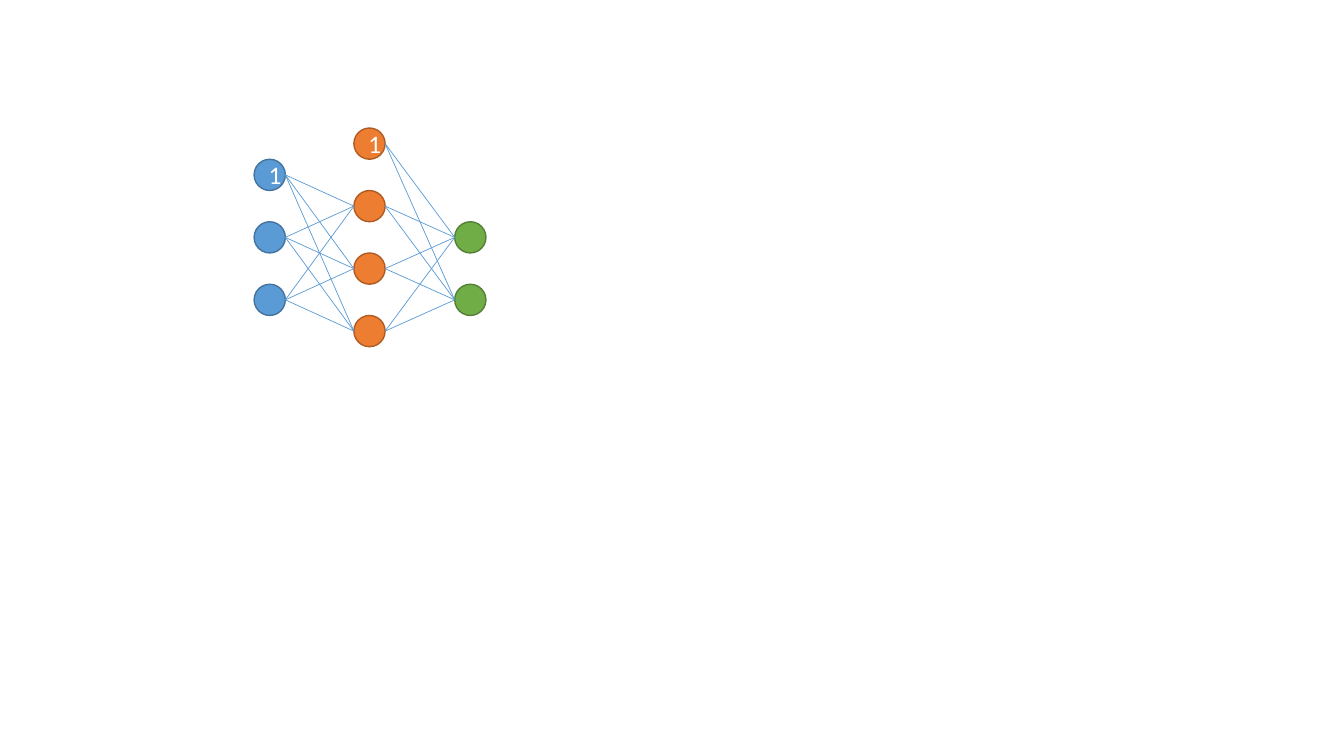
"""Build a slide with a small three-layer neural network diagram."""
from itertools import pairwise, product

from lxml.etree import SubElement
from pptx import Presentation
from pptx.dml.color import RGBColor
from pptx.enum.shapes import MSO_CONNECTOR, MSO_SHAPE
from pptx.enum.text import MSO_ANCHOR, PP_ALIGN
from pptx.oxml.ns import qn
from pptx.util import Inches, Pt

WHITE = RGBColor(0xFF, 0xFF, 0xFF)
BLUE = RGBColor(0x5B, 0x9B, 0xD5)
DARK_BLUE = RGBColor(0x43, 0x73, 0x9E)
ORANGE = RGBColor(0xED, 0x7D, 0x31)
DARK_ORANGE = RGBColor(0xAF, 0x5C, 0x24)
GREEN = RGBColor(0x70, 0xAD, 0x47)
DARK_GREEN = RGBColor(0x53, 0x80, 0x35)

DIAMETER = Inches(0.31)
NODE_PITCH = Inches(0.62)

# left, top of first node, node count, has bias node, fill, outline
LAYERS = [
    (2.52, 1.58, 3, True, BLUE, DARK_BLUE),
    (3.51, 1.27, 4, True, ORANGE, DARK_ORANGE),
    (4.51, 2.2, 2, False, GREEN, DARK_GREEN),
]

deck = Presentation()
deck.slide_width = Inches(13.33)
deck.slide_height = Inches(7.5)
slide = deck.slides.add_slide(deck.slide_layouts[6])

network = []
for left, top, count, has_bias, fill, outline in LAYERS:
    nodes = []
    for row in range(count):
        node = slide.shapes.add_shape(
            MSO_SHAPE.OVAL, Inches(left), Inches(top) + row * NODE_PITCH, DIAMETER, DIAMETER)
        node.shadow.inherit = False
        node.fill.solid()
        node.fill.fore_color.rgb = fill
        node.line.color.rgb = outline
        node.line.width = Pt(1)
        nodes.append(node)
    if has_bias:
        frame = nodes[0].text_frame
        frame.text = "1"
        frame.vertical_anchor = MSO_ANCHOR.MIDDLE
        para = frame.paragraphs[0]
        para.alignment = PP_ALIGN.CENTER
        font = para.runs[0].font
        font.name = "Calibri"
        font.size = Pt(18)
        font.color.rgb = WHITE
    network.append((nodes, has_bias))

for (sources, _), (targets, has_bias) in pairwise(network):
    receivers = targets[1:] if has_bias else targets
    for source, target in product(sources, receivers):
        link = slide.shapes.add_connector(
            MSO_CONNECTOR.STRAIGHT,
            source.left + DIAMETER, source.top + DIAMETER // 2,
            target.left, target.top + DIAMETER // 2)
        link.line.color.rgb = BLUE
        link.line.width = Pt(0.5)
        SubElement(link._element.spPr, qn("a:effectLst"))

deck.save("out.pptx")
